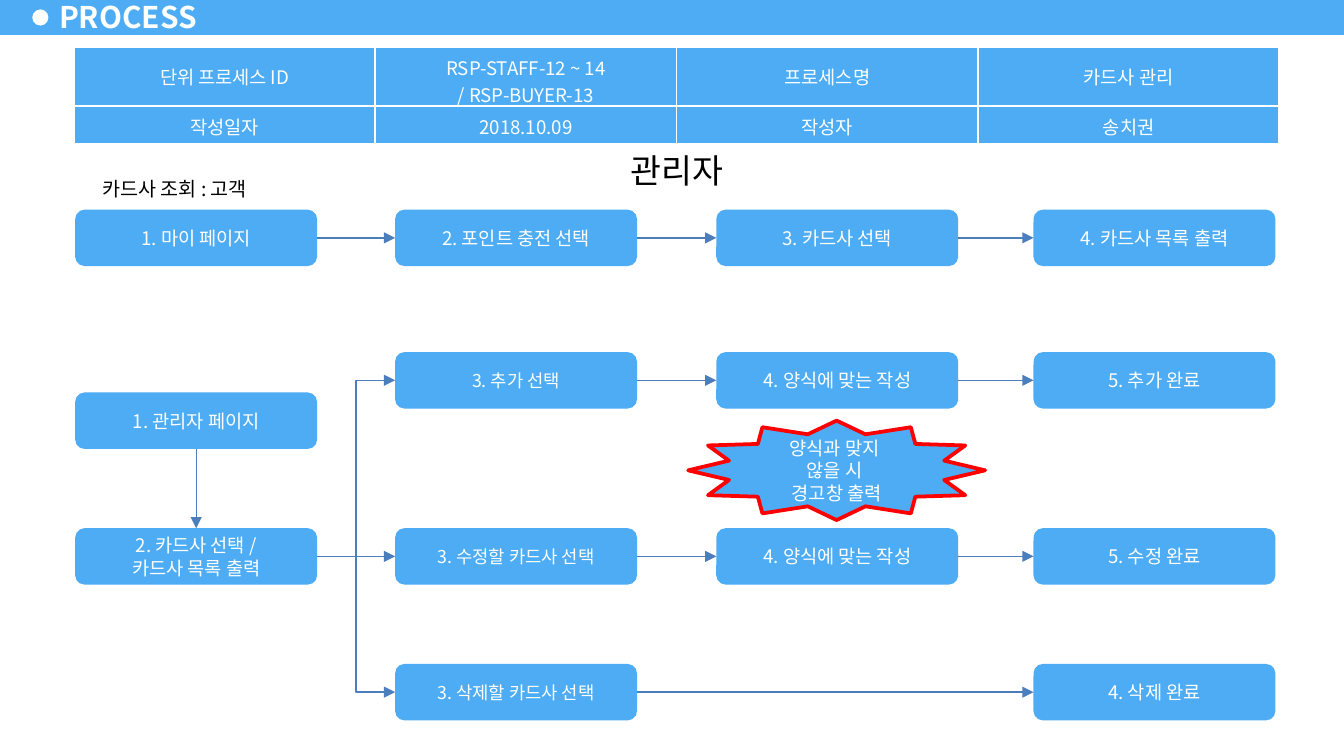
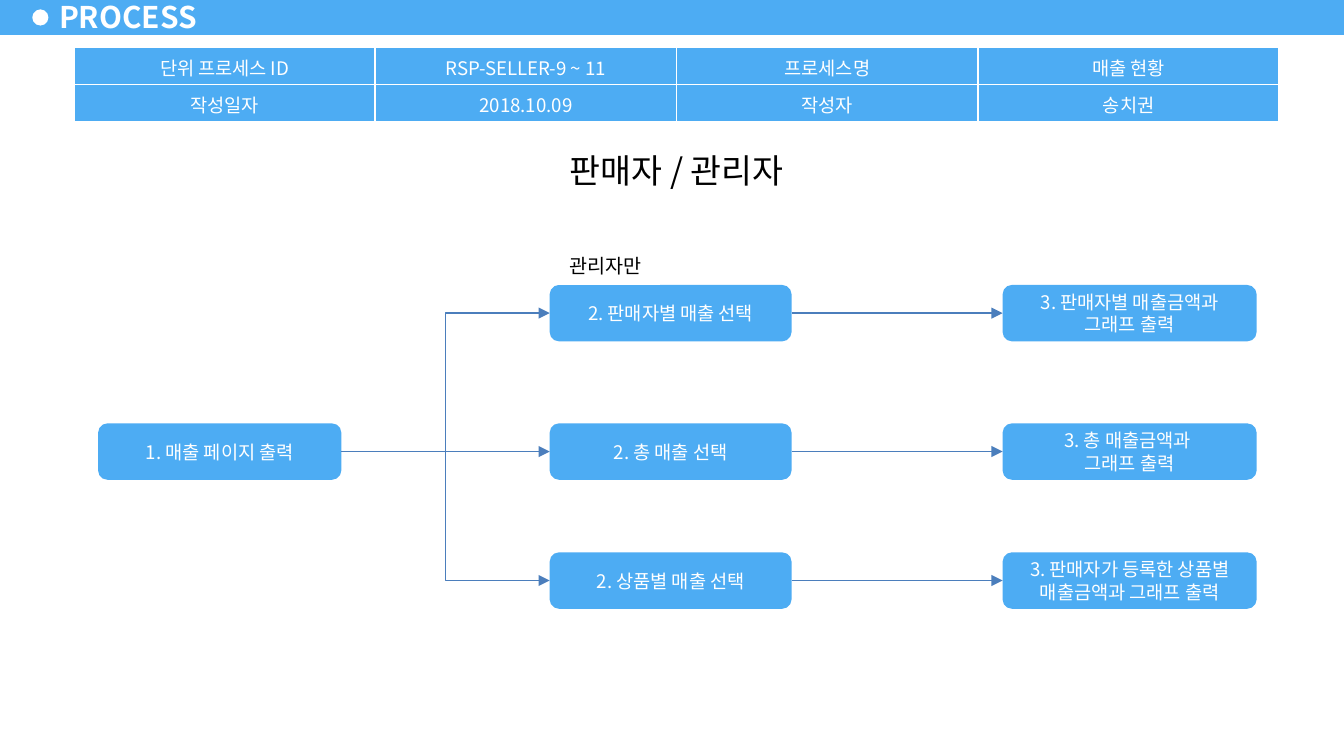
"""Build the two process-flow slides of the card company and sales functions."""
from dataclasses import dataclass
from typing import NamedTuple, Optional

from lxml.etree import SubElement
from pptx import Presentation
from pptx.dml.color import RGBColor
from pptx.enum.shapes import MSO_CONNECTOR as Route, MSO_SHAPE as Preset
from pptx.enum.text import MSO_ANCHOR as Anchor, MSO_AUTO_SIZE as AutoSize, PP_ALIGN as Align
from pptx.oxml.ns import qn
from pptx.shapes.autoshape import Shape
from pptx.slide import Slide, SlideLayout
from pptx.text.text import TextFrame
from pptx.util import Inches, Pt


@dataclass(frozen=True)
class Theme:
    """Colours, font and type sizes of the deck."""
    blue: RGBColor = RGBColor(0x4D, 0xAC, 0xF3)
    arrow: RGBColor = RGBColor(0x4B, 0x7E, 0xBC)
    alert: RGBColor = RGBColor(0xFF, 0x00, 0x00)
    white: RGBColor = RGBColor(0xFF, 0xFF, 0xFF)
    black: RGBColor = RGBColor(0x00, 0x00, 0x00)
    font: str = "Noto Sans CJK KR"
    title: float = 16
    role: float = 18
    caption: float = 10.5
    body: float = 10
    compact: float = 9.5


THEME = Theme()


class Box(NamedTuple):
    """Left, top, width and height in inches."""
    left: float
    top: float
    width: float
    height: float


class Step(NamedTuple):
    """One step of a flow, on the page's column and row grid."""
    key: str
    column: int
    row: int
    text: str
    size: float = THEME.body


class Link(NamedTuple):
    """An arrow between two steps."""
    source: str
    target: str
    route: Route = Route.STRAIGHT
    downward: bool = False


class Label(NamedTuple):
    """A free text with its place."""
    text: str
    box: Box


@dataclass(frozen=True)
class ProcessPage:
    """The content of one process slide."""
    process_id: str
    process_name: str
    id_row_height: float
    role: str
    columns: tuple[tuple[float, float], ...]
    rows: tuple[float, ...]
    steps: tuple[Step, ...]
    links: tuple[Link, ...]
    caption: Label
    warning: Optional[Label] = None


STEP_HEIGHT = 0.42
TOP, LEFT, BOTTOM, RIGHT = range(4)

CARD_PAGE = ProcessPage(
    process_id="RSP-STAFF-12 ~ 14\n/ RSP-BUYER-13",
    process_name="카드사 관리",
    id_row_height=0.44,
    role="관리자",
    columns=((0.56, 1.8), (2.94, 1.8), (5.33, 1.8), (7.69, 1.8)),
    rows=(1.56, 2.62, 2.92, 3.93, 4.94),
    steps=(
        Step("my page", 0, 0, "1. 마이 페이지"),
        Step("charge", 1, 0, "2. 포인트 충전 선택"),
        Step("pick", 2, 0, "3. 카드사 선택"),
        Step("list", 3, 0, "4. 카드사 목록 출력"),
        Step("admin", 0, 2, "1. 관리자 페이지"),
        Step("choose", 0, 3, "2. 카드사 선택 /\n카드사 목록 출력"),
        Step("add", 1, 1, "3. 추가 선택", THEME.compact),
        Step("add form", 2, 1, "4. 양식에 맞는 작성"),
        Step("added", 3, 1, "5. 추가 완료"),
        Step("edit", 1, 3, "3. 수정할 카드사 선택", THEME.compact),
        Step("edit form", 2, 3, "4. 양식에 맞는 작성"),
        Step("edited", 3, 3, "5. 수정 완료"),
        Step("delete", 1, 4, "3. 삭제할 카드사 선택", THEME.compact),
        Step("deleted", 3, 4, "4. 삭제 완료"),
    ),
    links=(
        Link("my page", "charge"),
        Link("charge", "pick"),
        Link("pick", "list"),
        Link("admin", "choose", downward=True),
        Link("choose", "edit"),
        Link("choose", "add", Route.ELBOW),
        Link("choose", "delete", Route.ELBOW),
        Link("add", "add form"),
        Link("add form", "added"),
        Link("edit", "edit form"),
        Link("edit form", "edited"),
        Link("delete", "deleted"),
    ),
    caption=Label("카드사 조회 : 고객", Box(0.57, 1.27, 1.46, 0.28)),
    warning=Label("양식과 맞지 \v않을 시 \v경고창 출력", Box(5.12, 3.13, 2.21, 0.74)),
)

SALES_PAGE = ProcessPage(
    process_id="RSP-SELLER-9 ~ 11",
    process_name="매출 현황",
    id_row_height=0.28,
    role="판매자 / 관리자",
    columns=((0.73, 1.81), (4.09, 1.8), (7.46, 1.89)),
    rows=(2.12, 3.15, 4.11),
    steps=(
        Step("sales", 0, 1, "1. 매출 페이지 출력"),
        Step("by seller", 1, 0, "2. 판매자별 매출 선택"),
        Step("seller graph", 2, 0, "3. 판매자별 매출금액과\n그래프 출력"),
        Step("total", 1, 1, "2. 총 매출 선택"),
        Step("total graph", 2, 1, "3. 총 매출금액과 \n그래프 출력"),
        Step("by product", 1, 2, "2. 상품별 매출 선택"),
        Step("product graph", 2, 2, "3. 판매자가 등록한 상품별 매출금액과 그래프 출력"),
    ),
    links=(
        Link("sales", "by seller", Route.ELBOW),
        Link("sales", "by product", Route.ELBOW),
        Link("sales", "total"),
        Link("by seller", "seller graph"),
        Link("total", "total graph"),
        Link("by product", "product graph"),
    ),
    caption=Label("관리자만", Box(4.1, 1.84, 0.81, 0.28)),
)


def write(frame: TextFrame, text: str, size: float, color: RGBColor,
          align: Align = Align.CENTER, bold: bool = False) -> None:
    """Write paragraphs split at newlines, with line breaks at vertical tabs."""
    frame.word_wrap = True
    for index, content in enumerate(text.split("\n")):
        paragraph = frame.paragraphs[0] if index == 0 else frame.add_paragraph()
        paragraph.alignment = align
        for position, line in enumerate(content.split("\v")):
            if position:
                paragraph.add_line_break()
            run = paragraph.add_run()
            run.text = line
            run.font.size, run.font.bold = Pt(size), bold
            run.font.color.rgb = color
            run.font.name = THEME.font
            SubElement(run._r.get_or_add_rPr(), qn("a:ea"), typeface=THEME.font)


def draw_shape(slide: Slide, preset: Preset, box: Box, fill: RGBColor) -> Shape:
    """Draw a flat preset shape without an outline."""
    shape = slide.shapes.add_shape(preset, *map(Inches, box))
    shape.shadow.inherit = False
    shape.fill.solid()
    shape.fill.fore_color.rgb = fill
    shape.line.fill.background()
    return shape


def draw_label(slide: Slide, label: Label, size: float) -> None:
    """Draw black text on a white box."""
    shape = draw_shape(slide, Preset.RECTANGLE, label.box, THEME.white)
    shape.text_frame.vertical_anchor = Anchor.TOP
    write(shape.text_frame, label.text, size, THEME.black)
    shape.text_frame.auto_size = AutoSize.SHAPE_TO_FIT_TEXT


def draw_step(slide: Slide, page: ProcessPage, step: Step) -> Shape:
    """Draw a step at its grid place."""
    left, width = page.columns[step.column]
    box = Box(left, page.rows[step.row], width, STEP_HEIGHT)
    shape = draw_shape(slide, Preset.ROUNDED_RECTANGLE, box, THEME.blue)
    shape.text_frame.vertical_anchor = Anchor.MIDDLE
    write(shape.text_frame, step.text, step.size, THEME.white)
    return shape


def draw_warning(slide: Slide, warning: Label) -> None:
    """Draw the red-edged warning star."""
    star = draw_shape(slide, Preset.STAR_12_POINT, warning.box, THEME.blue)
    star.line.color.rgb = THEME.alert
    star.line.width = Pt(2)
    star.text_frame.vertical_anchor = Anchor.MIDDLE
    write(star.text_frame, warning.text, THEME.body, THEME.white)


def draw_link(slide: Slide, link: Link, drawn: dict[str, Shape]) -> None:
    """Join two steps with an arrow."""
    arrow = slide.shapes.add_connector(link.route, 0, 0, 0, 0)
    arrow.begin_connect(drawn[link.source], BOTTOM if link.downward else RIGHT)
    arrow.end_connect(drawn[link.target], TOP if link.downward else LEFT)
    arrow.line.color.rgb = THEME.arrow
    arrow.line.width = Pt(0.75)
    properties = arrow.element.spPr
    SubElement(properties.find(qn("a:ln")), qn("a:tailEnd"), type="triangle")
    SubElement(properties, qn("a:effectLst"))


def draw_summary(slide: Slide, page: ProcessPage) -> None:
    """Draw the table that identifies the process."""
    entries = (("단위 프로세스 ID", page.process_id, "프로세스명", page.process_name),
               ("작성일자", "2018.10.09", "작성자", "송치권"))
    heights = (page.id_row_height, 0.28)
    box = Box(0.55, 0.35, 8.97, sum(heights))
    table = slide.shapes.add_table(2, 4, *map(Inches, box)).table
    table.first_row = table.horz_banding = False
    for row, height, texts in zip(table.rows, heights, entries):
        row.height = Inches(height)
        for cell, text in zip(row.cells, texts):
            properties = cell._tc.get_or_add_tcPr()
            for side in ("lnL", "lnR", "lnT", "lnB"):
                border = SubElement(properties, qn(f"a:{side}"), w=str(Pt(1)))
                paint = SubElement(border, qn("a:solidFill"))
                SubElement(paint, qn("a:srgbClr"), val=str(THEME.white))
            cell.fill.solid()
            cell.fill.fore_color.rgb = THEME.blue
            cell.vertical_anchor = Anchor.MIDDLE
            write(cell.text_frame, text, THEME.body, THEME.white)


def prepare_layout(layout: SlideLayout, slide: Slide) -> None:
    """Move the header band to the layout and place its title."""
    band = draw_shape(slide, Preset.RECTANGLE, Box(0, -0.02, 10, 0.28), THEME.blue)
    dot = draw_shape(slide, Preset.OVAL, Box(0.24, 0.07, 0.12, 0.12), THEME.white)
    for position, part in enumerate((band, dot), start=2):
        layout.shapes.element.insert(position, part.element)
    title = layout.placeholders[0]
    title.left, title.top, title.width, title.height = map(Inches, (0.35, -0.04, 1.22, 0.32))


def draw_page(slide: Slide, page: ProcessPage) -> None:
    """Draw one process slide."""
    heading = slide.shapes.title.text_frame
    heading.auto_size = AutoSize.NONE
    heading.vertical_anchor = Anchor.MIDDLE
    heading.margin_left = heading.margin_right = Inches(0.09)
    heading.margin_top = heading.margin_bottom = Inches(0.04)
    write(heading, "PROCESS", THEME.title, THEME.white, Align.LEFT, bold=True)
    draw_label(slide, Label(page.role, Box(3.25, 1.07, 3.57, 0.4)), THEME.role)
    draw_summary(slide, page)
    drawn = {step.key: draw_step(slide, page, step) for step in page.steps}
    if page.warning:
        draw_warning(slide, page.warning)
    for link in page.links:
        draw_link(slide, link, drawn)
    draw_label(slide, page.caption, THEME.caption)


def main() -> None:
    """Build and save the deck."""
    deck = Presentation()
    deck.slide_width = Inches(10)
    deck.slide_height = Inches(10) * 9 // 16
    layout = deck.slide_layouts[5]
    slides = [deck.slides.add_slide(layout) for _ in range(2)]
    prepare_layout(layout, slides[0])
    for slide, page in zip(slides, (CARD_PAGE, SALES_PAGE)):
        draw_page(slide, page)
    deck.save("out.pptx")


if __name__ == "__main__":
    main()
